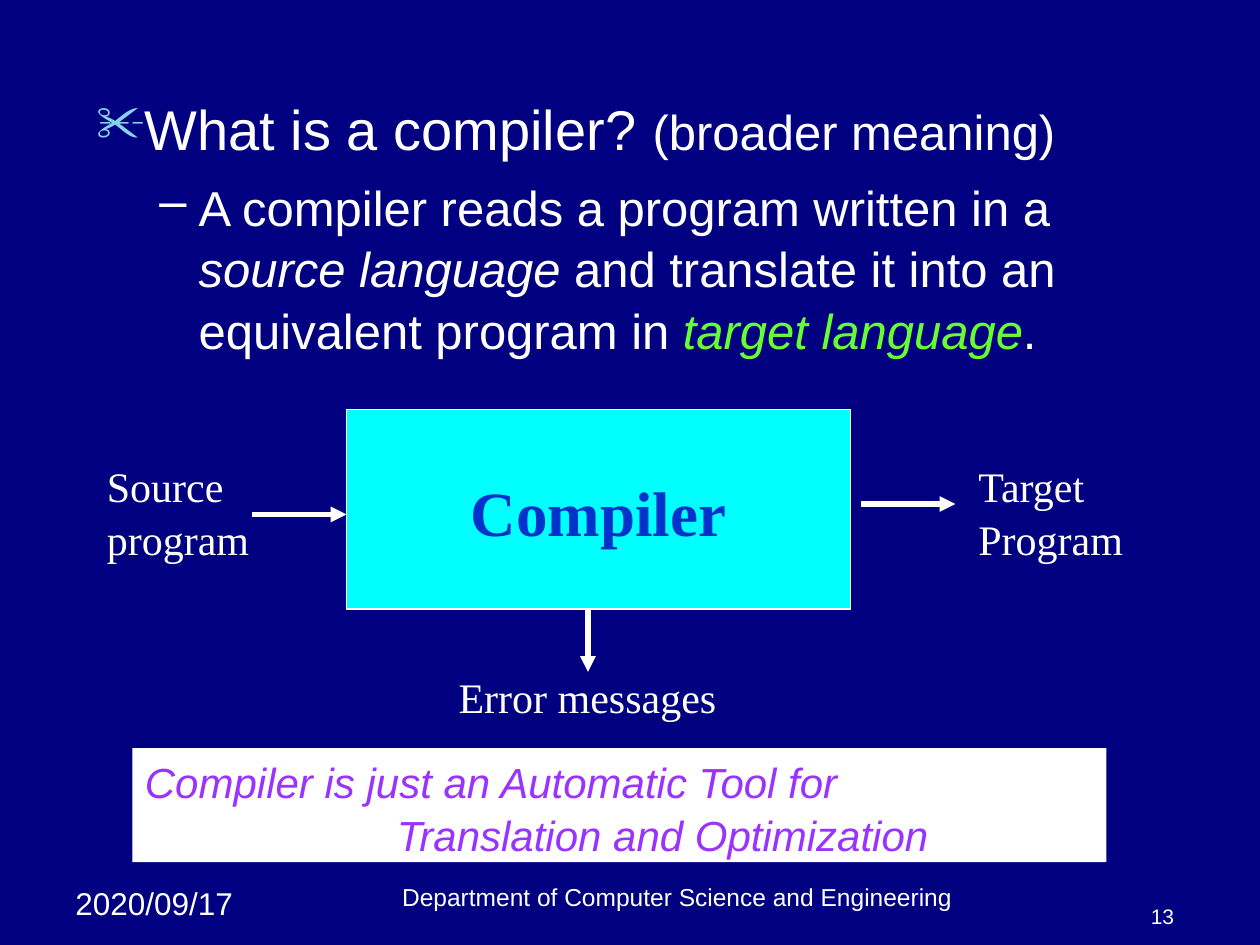
import pptx
import pptx.util
import pptx.dml.color
import pptx.enum.shapes
import pptx.enum.text
import pptx.oxml.ns
import lxml.etree

PX = 9525
WHITE = "FFFFFF"
ALIGN = pptx.enum.text.PP_ALIGN
ANCHOR = pptx.enum.text.MSO_ANCHOR


def px(length):
    return pptx.util.Emu(round(length) * PX)


def color(hex_value):
    return pptx.dml.color.RGBColor.from_string(hex_value)


def apply(target, values):
    for name, value in values.items():
        setattr(target, name, value)


def add_xml(parent, tag, **attributes):
    return lxml.etree.SubElement(parent, pptx.oxml.ns.qn(tag), attributes)


def add_run(paragraph, text, size, hex_value, **style):
    run = paragraph.add_run()
    run.text = text
    apply(run.font, {"size": pptx.util.Pt(size), "name": "Arial", **style})
    run.font.color.rgb = color(hex_value)


def set_bullet(paragraph, character, hex_value, left, hanging, percent):
    properties = paragraph._p.get_or_add_pPr()
    properties.set("marL", str(px(left)))
    properties.set("indent", str(px(-hanging)))
    add_xml(add_xml(properties, "a:buClr"), "a:srgbClr", val=hex_value)
    add_xml(properties, "a:buSzPct", val=str(percent * 1000))
    add_xml(properties, "a:buChar", char=character)


def write_lines(shape, lines, size, hex_value=WHITE, frame=None, paragraph_values=None, **style):
    text_frame = shape.text_frame
    apply(text_frame, {"word_wrap": True, **(frame or {})})
    for index, line in enumerate(lines):
        paragraph = text_frame.paragraphs[0] if index == 0 else text_frame.add_paragraph()
        apply(paragraph, {"alignment": ALIGN.LEFT, "line_spacing": 1.05, **(paragraph_values or {})})
        add_run(paragraph, line, size, hex_value, **style)


def add_text(slide, box, lines, size, **options):
    textbox = slide.shapes.add_textbox(*map(px, box))
    write_lines(textbox, lines, size, **options)


def add_rectangle(slide, box, fill, line=None):
    shape = slide.shapes.add_shape(pptx.enum.shapes.MSO_SHAPE.RECTANGLE, *map(px, box))
    shape.shadow.inherit = False
    shape.fill.solid()
    shape.fill.fore_color.rgb = color(fill)
    if line:
        shape.line.color.rgb = color(line)
        shape.line.width = pptx.util.Pt(1)
    else:
        shape.line.fill.background()
    return shape


def add_arrow(slide, start_x, start_y, end_x, end_y):
    arrow = slide.shapes.add_connector(
        pptx.enum.shapes.MSO_CONNECTOR.STRAIGHT, *map(px, (start_x, start_y, end_x, end_y))
    )
    arrow.line.color.rgb = color(WHITE)
    arrow.line.width = pptx.util.Pt(3)
    add_xml(arrow.line._get_or_add_ln(), "a:tailEnd", type="triangle")
    add_xml(arrow._element.spPr, "a:effectLst")


def add_definition(slide, left, top, width, height):
    textbox = slide.shapes.add_textbox(*map(px, (left, top, width, height)))
    textbox.text_frame.word_wrap = True
    question = textbox.text_frame.paragraphs[0]
    question.line_spacing = 1.05
    set_bullet(question, "✂", "86D1EC", 36, 36, 90)
    add_run(question, "What is a compiler? ", 32, WHITE)
    add_run(question, "(broader meaning)", 28, WHITE)

    answer = textbox.text_frame.add_paragraph()
    apply(answer, {"level": 1, "space_before": pptx.util.Pt(7), "line_spacing": 1.05})
    set_bullet(answer, "–", WHITE, 78, 30, 100)
    for text, hex_value, italic in (
        ("A compiler reads a program written in a ", WHITE, False),
        ("source language", WHITE, True),
        (" and translate it into an equivalent program in ", WHITE, False),
        ("target language", "66FF33", True),
        (".", WHITE, False),
    ):
        add_run(answer, text, 28, hex_value, italic=italic)


def add_diagram(slide, left, top, width, height):
    serif = "Times New Roman"
    compiler_left, compiler_width, compiler_height = left + 192, 384, 152
    compiler_right = compiler_left + compiler_width
    compiler_bottom = top + compiler_height
    compiler = add_rectangle(
        slide, (compiler_left, top, compiler_width, compiler_height), "00FFFF", WHITE
    )
    write_lines(
        compiler, ["Compiler"], 36, "0033CC",
        {"word_wrap": False, "vertical_anchor": ANCHOR.MIDDLE},
        {"alignment": ALIGN.CENTER}, name=serif, bold=True,
    )
    for box, lines in (
        ((left, top + 32, 136, 86), ["Source", "program"]),
        ((left + width - 152, top + 32, 152, 86), ["Target", "Program"]),
        ((left + 268, top + height - 48, 232, 48), ["Error messages"]),
    ):
        add_text(slide, box, lines, 24, name=serif)
    add_arrow(slide, compiler_left - 72, top + 80, compiler_left, top + 80)
    add_arrow(slide, compiler_right + 8, top + 72, compiler_right + 80, top + 72)
    add_arrow(slide, left + 376, compiler_bottom, left + 376, compiler_bottom + 48)


def add_summary(slide, left, top, width, height):
    banner = add_rectangle(slide, (left, top, width, height), WHITE)
    lines = ["Compiler is just an Automatic Tool for", "Translation and Optimization"]
    write_lines(
        banner, lines, 24, "9933FF", {"vertical_anchor": ANCHOR.TOP}, italic=True
    )
    second_line = banner.text_frame.paragraphs[1]
    second_line._p.get_or_add_pPr().set("marL", str(px(192)))


def add_footer(slide, left, top, width, height):
    add_text(slide, (left, top, 152, height), ["2020/09/17"], 18)
    bottom = {"vertical_anchor": ANCHOR.BOTTOM}
    add_text(
        slide, (left + 144, top, 648, 32), ["Department of Computer Science and Engineering"],
        14, frame=bottom, paragraph_values={"alignment": ALIGN.CENTER},
    )
    add_text(
        slide, (left + width - 64, top + 13, 64, 32), ["13"],
        12, frame=bottom, paragraph_values={"alignment": ALIGN.RIGHT},
    )


def main():
    presentation = pptx.Presentation()
    apply(presentation, {"slide_width": px(960), "slide_height": px(720)})
    slide = presentation.slides.add_slide(presentation.slide_layouts[6])
    slide.background.fill.solid()
    slide.background.fill.fore_color.rgb = color("000080")
    add_footer(slide, 48, 667, 856, 45)
    add_definition(slide, 64, 65, 816, 520)
    add_diagram(slide, 72, 312, 816, 241)
    add_summary(slide, 101, 570, 742, 87)
    presentation.save("out.pptx")


if __name__ == "__main__":
    main()
